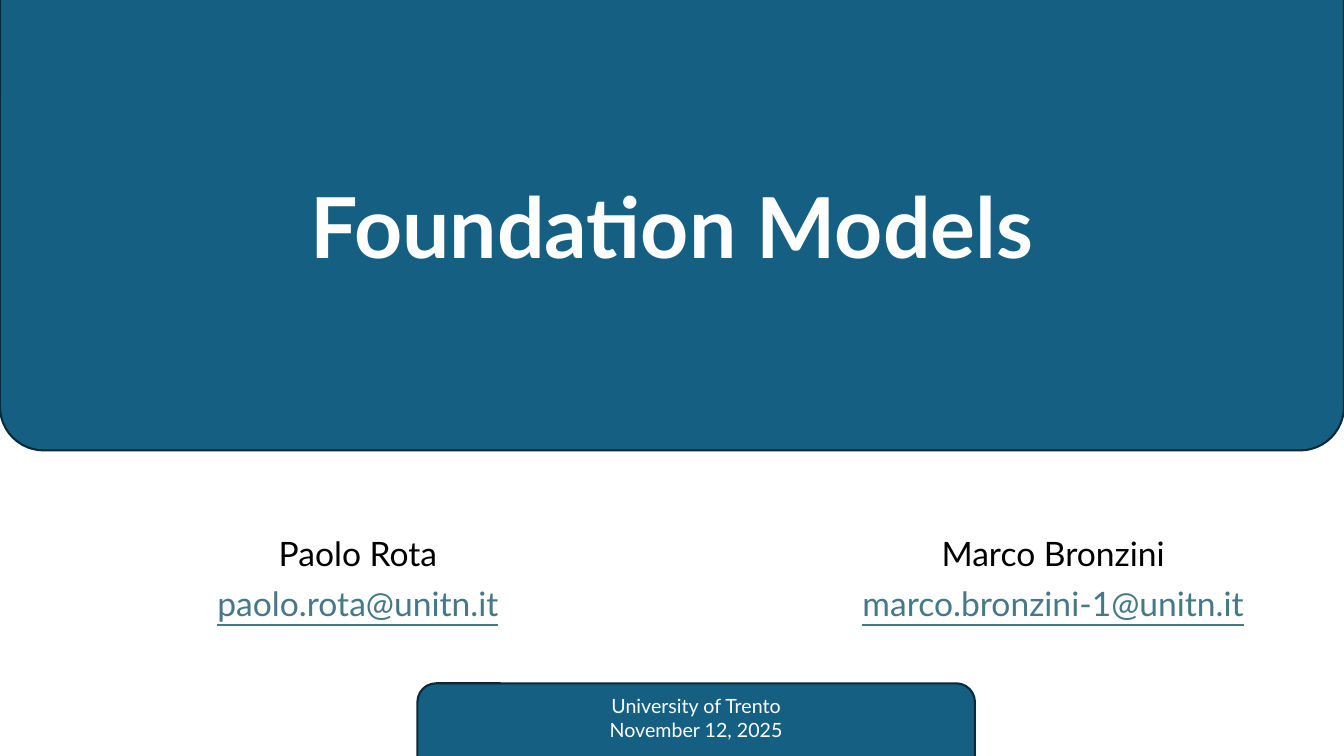
from pptx import Presentation
from pptx.dml.color import RGBColor
from pptx.enum.shapes import MSO_SHAPE
from pptx.enum.text import MSO_ANCHOR, MSO_AUTO_SIZE, PP_ALIGN
from pptx.util import Cm, Pt

WIDTH, HEIGHT = 33.87, 19.05
BLUE, DARK_BLUE, LINK = "156082", "092A39", "467886"
WHITE, BLACK = "FFFFFF", "000000"


def rgb(color):
    return RGBColor.from_string(color)


def place(shape, box):
    for name, value in zip(("left", "top", "width", "height"), box):
        setattr(shape, name, Cm(value))


def format_frame(frame, anchor, top_inset=0.13):
    settings = {
        "word_wrap": True,
        "auto_size": MSO_AUTO_SIZE.NONE,
        "vertical_anchor": anchor,
        "margin_left": Cm(0.25),
        "margin_right": Cm(0.25),
        "margin_top": Cm(top_inset),
        "margin_bottom": Cm(0.13),
    }
    for name, value in settings.items():
        setattr(frame, name, value)


def write_lines(frame, lines, size, line_spacing=0.9, gap=0):
    """Fill the frame with centred paragraphs from (text, color, font formats)."""
    for index, (text, color, formats) in enumerate(lines):
        paragraph = frame.add_paragraph() if index else frame.paragraphs[0]
        paragraph.alignment = PP_ALIGN.CENTER
        paragraph.line_spacing = line_spacing
        paragraph.space_before = Pt(gap if index else 0)
        font = paragraph.add_run().font
        paragraph.runs[0].text = text
        for name, value in {"name": "Lato", "size": Pt(size), **formats}.items():
            setattr(font, name, value)
        font.color.rgb = rgb(color)


def add_panel(slide, box, corner):
    panel = slide.shapes.add_shape(MSO_SHAPE.ROUNDED_RECTANGLE, *map(Cm, box))
    panel.adjustments[0] = corner
    panel.shadow.inherit = False
    panel.fill.solid()
    panel.fill.fore_color.rgb = rgb(BLUE)
    panel.line.color.rgb = rgb(DARK_BLUE)
    panel.line.width = Pt(1.5)
    return panel


def build_header(slide, box):
    left, top, width, height = box
    banner = add_panel(slide, box, 0.082)
    title = slide.shapes.title
    title._element.addprevious(banner._element)  # keeps the banner behind the title
    place(title, (left + width / 8, top + 5.23, width * 0.75, 3.99))
    format_frame(title.text_frame, MSO_ANCHOR.BOTTOM)
    write_lines(title.text_frame, [("Foundation Models", WHITE, {"bold": True})], 60)


def build_author(shape, box, name, address):
    place(shape, box)
    format_frame(shape.text_frame, MSO_ANCHOR.TOP, top_inset=1.47)
    lines = [(name, BLACK, {}), (address, LINK, {"underline": True})]
    write_lines(shape.text_frame, lines, 24, gap=10)


def build_footer(slide, box):
    frame = add_panel(slide, box, 0.17).text_frame
    format_frame(frame, MSO_ANCHOR.TOP)
    lines = [(text, WHITE, {}) for text in ("University of Trento", "November 12, 2025")]
    write_lines(frame, lines, 14, line_spacing=1.0)


def build_title_slide(presentation):
    slide = presentation.slides.add_slide(presentation.slide_layouts[0])
    build_header(slide, (0, -2.11, WIDTH, 13.46))
    first_box, second_box = [(left, 12.07, 13.26, 6.05) for left in (2.39, 19.91)]
    build_author(slide.placeholders[1], first_box, "Paolo Rota", "paolo.rota@unitn.it")
    second_author = slide.shapes.add_textbox(*map(Cm, second_box))
    build_author(second_author, second_box, "Marco Bronzini", "marco.bronzini-1@unitn.it")
    build_footer(slide, (10.52, 17.22, 14.05, 2.77))


def main():
    presentation = Presentation()
    presentation.slide_width = Cm(WIDTH)
    presentation.slide_height = Cm(HEIGHT)
    build_title_slide(presentation)
    presentation.save("out.pptx")


if __name__ == "__main__":
    main()
